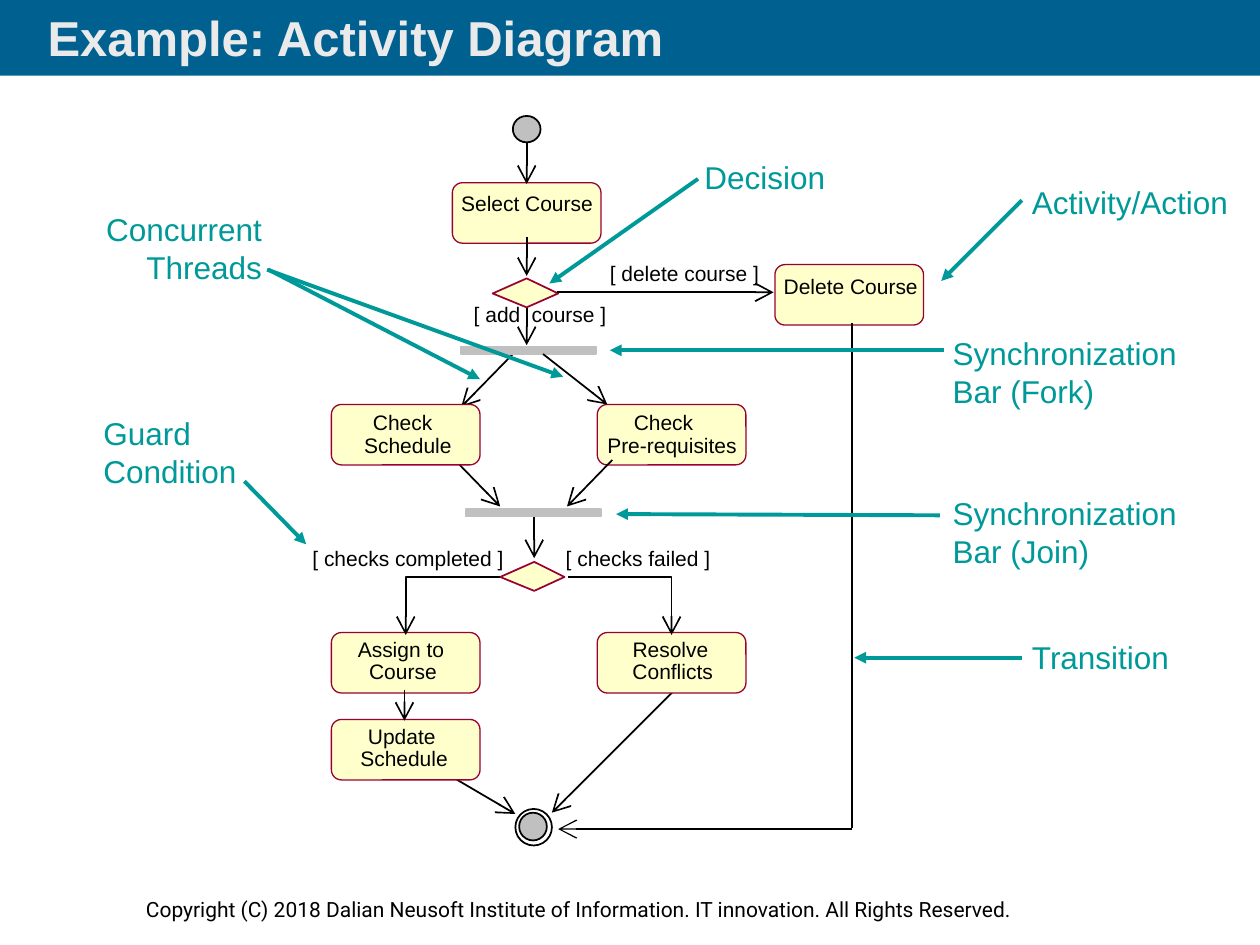
from lxml.etree import SubElement
from pptx import Presentation
from pptx.dml.color import RGBColor
from pptx.enum.shapes import MSO_CONNECTOR, MSO_SHAPE
from pptx.enum.text import MSO_ANCHOR, MSO_AUTO_SIZE, PP_ALIGN
from pptx.oxml.ns import qn
from pptx.util import Inches, Pt

COLORS = {
    "banner": "006191", "title": "EAEAEA", "ink": "000000", "callout": "009999",
    "activity": "FFFFCC", "border": "990033", "gray": "C0C0C0",
}
ACTIVITY_SIZE = (1.18, 0.48)


def color(name):
    return RGBColor.from_string(COLORS[name])


def place(box, x, y):
    return box[0] + x, box[1] + y


def paint(shape, fill, line, weight=1):
    shape.shadow.inherit = False
    if fill:
        shape.fill.solid()
        shape.fill.fore_color.rgb = color(fill)
    else:
        shape.fill.background()
    if line:
        shape.line.color.rgb = color(line)
        shape.line.width = Pt(weight)
    else:
        shape.line.fill.background()
    return shape


def add_preset(shapes, kind, box, fill, line, weight=1):
    shape = shapes.add_shape(kind, *map(Inches, box))
    return paint(shape, fill, line, weight)


def add_text(shapes, box, text, size=12, ink="ink", font="Arial", bold=False,
             inset=(0, 0), wrap=False, align=PP_ALIGN.LEFT, tab=None):
    label = shapes.add_textbox(*map(Inches, box))
    frame = label.text_frame
    frame.text = text
    frame.word_wrap = wrap
    frame.auto_size = MSO_AUTO_SIZE.NONE
    frame.margin_left = frame.margin_right = Inches(inset[0])
    frame.margin_top = frame.margin_bottom = Inches(inset[1])
    for paragraph in frame.paragraphs:
        paragraph.alignment = align
        if tab:
            stops = SubElement(paragraph._p.get_or_add_pPr(), qn("a:tabLst"))
            SubElement(stops, qn("a:tab"), pos=str(Inches(tab)), algn="l")
        paragraph.font.size = Pt(size)
        paragraph.font.name = font
        paragraph.font.bold = bold
        paragraph.font.color.rgb = color(ink)
    return frame


def add_head(shape, head, size):
    outline = shape.line._get_or_add_ln()
    SubElement(outline, qn("a:tailEnd"), type=head, w=size, len=size)


def add_line(slide, box, start, end, ink="ink", weight=1, head="arrow", size="lg"):
    ends = place(box, *start) + place(box, *end)
    line = slide.shapes.add_connector(MSO_CONNECTOR.STRAIGHT, *map(Inches, ends))
    line.line.color.rgb = color(ink)
    line.line.width = Pt(weight)
    if head:
        add_head(line, head, size)
    SubElement(line._element.spPr, qn("a:effectLst"))


def add_outline(slide, box, points, closed):
    first, *rest = [tuple(map(Inches, place(box, *point))) for point in points]
    builder = slide.shapes.build_freeform(*first)
    builder.add_line_segments(rest, close=closed)
    return builder.convert_to_shape()


def add_decision(slide, box, left, center, right):
    x, y = center
    points = [(left, y), (x, y - 0.12), (right, y), (x, y + 0.11)]
    paint(add_outline(slide, box, points, True), "activity", "border")


def add_elbow(slide, box, points):
    elbow = paint(add_outline(slide, box, points, False), None, "ink")
    add_head(elbow, "arrow", "lg")


def add_activity(slide, box, lines, first_line=0.04):
    shapes = slide.shapes.add_group_shape().shapes if len(lines) > 1 else slide.shapes
    add_preset(shapes, MSO_SHAPE.ROUNDED_RECTANGLE, box, "activity", "border", 0)
    for row, (text, indent, width) in enumerate(lines):
        corner = place(box, indent, first_line + 0.18 * row)
        add_text(shapes, (*corner, width, 0.2), text)


def add_banner(slide, box):
    add_preset(slide.shapes, MSO_SHAPE.RECTANGLE, box, "banner", None)
    frame = add_text(slide.shapes, (*place(box, 0.28, 0), 8.03, 0.59),
                     "Example: Activity Diagram", 28, "title", bold=True,
                     inset=(0.1, 0.05), wrap=True)
    frame.vertical_anchor = MSO_ANCHOR.MIDDLE


def add_footer(slide, box):
    add_text(slide.shapes, box,
             "Copyright (C) 2018 Dalian Neusoft Institute of Information. "
             "IT innovation. All Rights Reserved.",
             font="Roboto", inset=(0.1, 0.05))


def add_activity_diagram(slide, box):
    activities = [
        (3.59, 0.85, 0.06, [("Select Course", 0.07, 1.05)]),
        (6.15, 1.5, 0.07, [("Delete Course", 0.07, 1.07)]),
        (2.63, 2.61, 0.04, [("Check", 0.33, 0.52), ("Schedule", 0.26, 0.7)]),
        (4.74, 2.61, 0.04, [("Check", 0.29, 0.52), ("Pre-requisites", 0.08, 1.03)]),
        (2.63, 4.42, 0.03, [("Assign to", 0.21, 0.74), ("Course", 0.3, 0.54)]),
        (4.74, 4.42, 0.03, [("Resolve", 0.28, 0.65), ("Conflicts", 0.28, 0.64)]),
        (2.63, 5.11, 0.03, [("Update", 0.29, 0.59), ("Schedule", 0.23, 0.7)]),
    ]
    covered_arrows = [
        ((3.61, 3.05), (3.97, 3.42)), ((3.51, 5.52), (4.09, 5.86)),
        ((5.35, 4.88), (4.38, 5.85)), ((4.09, 2.19), (3.66, 2.63)),
        ((4.24, 3.48), (4.24, 3.83)), ((4.18, 1.83), (4.18, 2.14)),
    ]
    front_arrows = [
        ((4.18, 0.53), (4.18, 0.86)), ((4.18, 1.28), (4.18, 1.59)),
        ((3.21, 4.88), (3.21, 5.12)), ((4.86, 3.05), (4.5, 3.42)),
        ((4.42, 1.72), (6.14, 1.72)), ((4.31, 2.21), (4.82, 2.61)),
    ]
    circles = [
        (4.07, 0.32, 0.22, 0.21, "gray"),
        (4.09, 5.82, 0.29, 0.29, None),
        (4.12, 5.85, 0.22, 0.22, "gray"),
    ]
    guards = [
        (3.76, 1.79, 1.11, "[ add\tcourse ]", 0.46),
        (2.48, 3.73, 1.53, "[ checks completed ]", None),
        (4.49, 3.73, 1.16, "[ checks failed ]", None),
        (4.84, 1.47, 1.2, "[ delete course ]", None),
    ]
    for start, end in covered_arrows:
        add_line(slide, box, start, end)
    for x, y, first_line, lines in activities:
        add_activity(slide, (*place(box, x, y), *ACTIVITY_SIZE), lines, first_line)
    for x, y, width, height, fill in circles:
        add_preset(slide.shapes, MSO_SHAPE.OVAL, (*place(box, x, y), width, height),
                   fill, "ink")
    add_decision(slide, box, 3.91, (4.18, 1.73), 4.43)
    add_decision(slide, box, 3.97, (4.24, 3.98), 4.48)
    add_elbow(slide, box, [(3.97, 3.98), (3.22, 3.98), (3.22, 4.44)])
    add_elbow(slide, box, [(4.51, 3.98), (5.33, 3.98), (5.33, 4.44)])
    for x, y in [(3.66, 2.15), (3.7, 3.44)]:
        add_preset(slide.shapes, MSO_SHAPE.RECTANGLE, (*place(box, x, y), 1.07, 0.06),
                   "gray", "gray")
    for x, y, width, text, tab in guards:
        add_text(slide.shapes, (*place(box, x, y), width, 0.2), text, tab=tab)
    for start, end in front_arrows:
        add_line(slide, box, start, end)
    add_line(slide, box, (6.76, 1.96), (6.76, 5.97), head=None)
    add_line(slide, box, (6.76, 5.98), (4.43, 5.98), weight=0.75)


def add_callouts(slide, box):
    left, right = PP_ALIGN.LEFT, PP_ALIGN.RIGHT
    callouts = [
        (8.07, 0.79, 1.93, 0.42, "Activity/Action", left, [((8.11, 0.99), (7.47, 1.63))]),
        (7.44, 1.99, 2.05, 0.73, "Synchronization\nBar (Fork)", left,
         [((7.49, 2.18), (4.84, 2.18))]),
        (0.7, 2.63, 1.31, 0.73, "Guard\nCondition", left, [((1.94, 3.22), (2.43, 3.72))]),
        (7.44, 3.26, 2.05, 0.73, "Synchronization\nBar (Join)", left,
         [((7.46, 3.49), (4.89, 3.48))]),
        (5.47, 0.59, 1.22, 0.42, "Decision", left, [((5.54, 0.82), (4.36, 1.65))]),
        (0.53, 1.01, 1.67, 0.73, "Concurrent Threads", right,
         [((2.13, 1.54), (3.81, 2.41)), ((2.12, 1.54), (4.47, 2.39))]),
        (8.07, 4.4, 1.42, 0.42, "Transition", left, [((8.11, 4.62), (6.78, 4.62))]),
    ]
    for x, y, width, height, text, align, pointers in callouts:
        add_text(slide.shapes, (*place(box, x, y), width, height), text, 18, "callout",
                 inset=(0.12, 0.06), wrap=True, align=align)
        for start, end in pointers:
            add_line(slide, box, start, end, "callout", 2.25, "triangle", "med")


def main():
    deck = Presentation()
    deck.slide_width, deck.slide_height = Inches(10), Inches(7.5)
    slide = deck.slides.add_slide(deck.slide_layouts[6])
    body = (0, 0.6, 10, 6.47)
    add_banner(slide, (0, 0, 10, 0.6))
    add_footer(slide, (1.06, 7.07, 8.28, 0.3))
    add_activity_diagram(slide, body)
    add_callouts(slide, body)
    deck.save("out.pptx")


if __name__ == "__main__":
    main()
